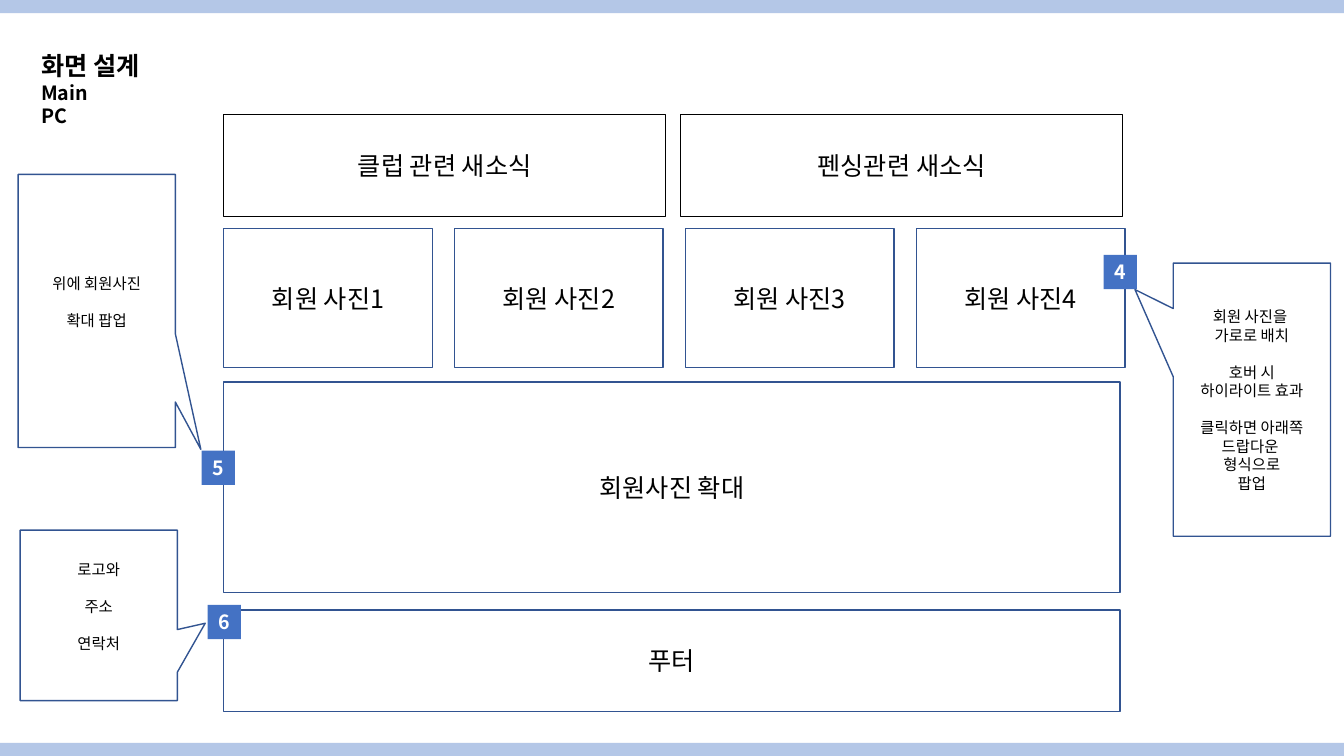
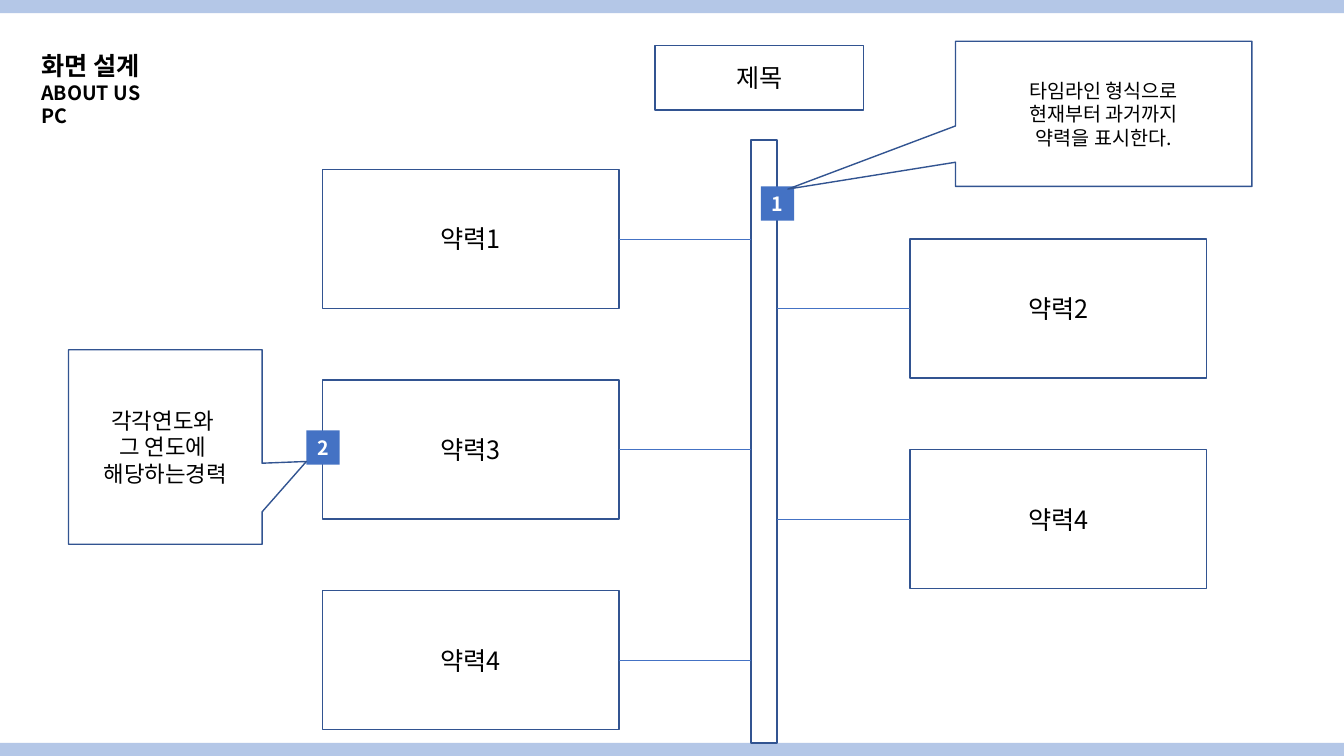
from dataclasses import dataclass

import lxml.etree
import pptx
import pptx.dml.color
import pptx.enum.shapes
import pptx.enum.text
import pptx.oxml.ns
import pptx.presentation
import pptx.shapes.autoshape
import pptx.slide
import pptx.text.text
import pptx.util

SLIDE_WIDTH = pptx.util.Inches(40 / 3)
SLIDE_HEIGHT = pptx.util.Inches(7.5)
COLUMNS, ROWS = 80, 45

FONT = "Noto Sans CJK KR"
BLACK = "000000"
WHITE = "FFFFFF"
BAND = "B4C7E7"
OUTLINE = "325491"
ACCENT = "4472C4"

BAND_ROWS = 0.78
LINE_HEIGHT = 1.2
RECTANGLE = pptx.enum.shapes.MSO_SHAPE.RECTANGLE
CALLOUT = pptx.enum.shapes.MSO_SHAPE.RECTANGULAR_CALLOUT
CENTER = pptx.enum.text.PP_ALIGN.CENTER
LEFT_SIDE, RIGHT_SIDE = 1, 3


@dataclass(frozen=True)
class Area:
    column: float
    row: float
    columns: float
    rows: float

    @property
    def middle_row(self) -> float:
        return self.row + self.rows / 2


@dataclass(frozen=True)
class Box:
    area: Area
    text: str = ""
    line_color: str = OUTLINE
    line_width: float = 1


@dataclass(frozen=True)
class Badge:
    number: str
    column: float
    row: float


@dataclass(frozen=True)
class Callout:
    area: Area
    tip_column: float
    tip_row: float
    groups: tuple[tuple[str, ...], ...]
    size: float
    lines_below: int = 0


def across(columns: float) -> int:
    return round(SLIDE_WIDTH * columns / COLUMNS)


def down(rows: float) -> int:
    return round(SLIDE_HEIGHT * rows / ROWS)


def color(value: str) -> pptx.dml.color.RGBColor:
    return pptx.dml.color.RGBColor.from_string(value)


def place(area: Area) -> tuple[int, int, int, int]:
    return across(area.column), down(area.row), across(area.columns), down(area.rows)


def add_run(paragraph: pptx.text.text._Paragraph, text: str, size: float,
            text_color: str = BLACK, bold: bool = False) -> None:
    run = paragraph.add_run()
    run.text = text
    run.font.size = pptx.util.Pt(size)
    run.font.bold = bold
    run.font.color.rgb = color(text_color)
    run.font.name = FONT
    east_asian = lxml.etree.SubElement(run.font._element, pptx.oxml.ns.qn("a:ea"))
    east_asian.set("typeface", FONT)


def next_paragraph(frame: pptx.text.text.TextFrame, index: int) -> pptx.text.text._Paragraph:
    return frame.add_paragraph() if index else frame.paragraphs[0]


def add_filled(slide: pptx.slide.Slide, area: Area, fill: str, line_color: str = "",
               line_width: float = 1, kind=RECTANGLE) -> pptx.shapes.autoshape.Shape:
    shape = slide.shapes.add_shape(kind, *place(area))
    shape.shadow.inherit = False
    shape.fill.solid()
    shape.fill.fore_color.rgb = color(fill)
    if line_color:
        shape.line.color.rgb = color(line_color)
        shape.line.width = pptx.util.Pt(line_width)
    else:
        shape.line.fill.background()
    frame = shape.text_frame
    frame.word_wrap = True
    frame.vertical_anchor = pptx.enum.text.MSO_ANCHOR.MIDDLE
    return shape


def add_box(slide: pptx.slide.Slide, box: Box) -> pptx.shapes.autoshape.Shape:
    shape = add_filled(slide, box.area, WHITE, box.line_color, box.line_width)
    if box.text:
        paragraph = shape.text_frame.paragraphs[0]
        paragraph.alignment = CENTER
        add_run(paragraph, box.text, 18)
    return shape


def add_badge(slide: pptx.slide.Slide, badge: Badge) -> None:
    shape = add_filled(slide, Area(badge.column, badge.row, 1.98, 2.04), ACCENT)
    frame = shape.text_frame
    frame.margin_left = frame.margin_right = 0
    frame.margin_top = frame.margin_bottom = 0
    paragraph = frame.paragraphs[0]
    paragraph.alignment = CENTER
    add_run(paragraph, badge.number, 14, WHITE, True)


def add_callout(slide: pptx.slide.Slide, callout: Callout) -> None:
    area = callout.area
    shape = add_filled(slide, area, WHITE, OUTLINE, kind=CALLOUT)
    shape.adjustments[0] = (callout.tip_column - area.column) / area.columns - 0.5
    shape.adjustments[1] = (callout.tip_row - area.row) / area.rows - 0.5
    line = pptx.util.Pt(callout.size * LINE_HEIGHT)
    frame = shape.text_frame
    frame.margin_bottom = frame.margin_bottom + line * callout.lines_below
    index = 0
    for group in callout.groups:
        for position, text in enumerate(group):
            paragraph = next_paragraph(frame, index)
            paragraph.alignment = CENTER
            if index and position == 0:
                paragraph.space_before = line
            add_run(paragraph, text, callout.size)
            index += 1


def add_branch(slide: pptx.slide.Slide, shape: pptx.shapes.autoshape.Shape, side: int,
               start_column: float, end_column: float, row: float) -> None:
    connector = slide.shapes.add_connector(
        pptx.enum.shapes.MSO_CONNECTOR.STRAIGHT,
        across(start_column), down(row), across(end_column), down(row))
    connector.begin_connect(shape, side)
    connector.end_y = connector.begin_y
    connector.line.color.rgb = color(ACCENT)
    connector.line.width = pptx.util.Pt(0.5)
    lxml.etree.SubElement(connector._element.spPr, pptx.oxml.ns.qn("a:effectLst"))


def add_page(presentation: pptx.presentation.Presentation, section: str) -> pptx.slide.Slide:
    slide = presentation.slides.add_slide(presentation.slide_layouts[6])
    for row in (0, ROWS - BAND_ROWS):
        add_filled(slide, Area(0, row, COLUMNS, BAND_ROWS), BAND)
    title = slide.shapes.add_textbox(*place(Area(1.86, 2.7, 9.36, 5.28)))
    frame = title.text_frame
    frame.word_wrap = True
    for index, (text, size) in enumerate((("화면 설계", 18), (section, 14), ("PC", 14))):
        add_run(next_paragraph(frame, index), text, size, bold=True)
    return slide


def add_notes(slide: pptx.slide.Slide, badges: list[Badge], callouts: list[Callout]) -> None:
    for badge in badges:
        add_badge(slide, badge)
    for callout in callouts:
        add_callout(slide, callout)


def build_main(presentation: pptx.presentation.Presentation) -> None:
    slide = add_page(presentation, "Main")
    left, width = 13.32, 53.34
    news = [
        Box(Area(left + index * 27.2, 6.84, 26.3, 6.06), text, BLACK, 0.75)
        for index, text in enumerate(("클럽 관련 새소식", "펜싱관련 새소식"))
    ]
    photos = [
        Box(Area(left + index * 13.74, 13.6, 12.42, 8.28), f"회원 사진{index + 1}")
        for index in range(4)
    ]
    wide = [
        Box(Area(left, 22.74, width, 12.54), "회원사진 확대"),
        Box(Area(left, 36.3, width, 6.06), "푸터"),
    ]
    for box in news + photos + wide:
        add_box(slide, box)
    add_notes(
        slide,
        [Badge("4", 65.7, 15.18), Badge("5", 12, 26.82), Badge("6", 12.36, 36)],
        [
            Callout(Area(69.84, 15.66, 9.36, 16.26), 67.56, 17.24, (
                ("회원 사진을 ", "가로로 배치"),
                ("호버 시", "하이라이트 효과"),
                ("클릭하면 아래쪽", "드랍다운 ", "형식으로", "팝업"),
            ), 11),
            Callout(Area(1.08, 10.38, 9.36, 16.26), 11.96, 26.75,
                    (("위에 회원사진",), ("확대 팝업",)), 11, 1),
            Callout(Area(1.2, 31.56, 9.36, 10.14), 12.22, 37.1,
                    (("로고와",), ("주소",), ("연락처",)), 11, 1),
        ],
    )


def build_about(presentation: pptx.presentation.Presentation) -> None:
    slide = add_page(presentation, "ABOUT US")
    timeline = Area(44.7, 8.34, 1.56, 35.88)
    add_box(slide, Box(Area(39, 2.7, 12.42, 3.84), "제목"))
    add_box(slide, Box(timeline))
    step, width = 12.54, 17.64
    sides = (
        (19.2, 10.08, ("약력1", "약력3", "약력4"), RIGHT_SIDE, width, timeline.column),
        (54.18, 14.22, ("약력2", "약력4"), LEFT_SIDE, 0, timeline.column + timeline.columns),
    )
    for column, top, texts, side, offset, end_column in sides:
        for index, text in enumerate(texts):
            area = Area(column, top + index * step, width, 8.28)
            shape = add_box(slide, Box(area, text))
            add_branch(slide, shape, side, column + offset, end_column, area.middle_row)
    add_notes(
        slide,
        [Badge("1", 45.3, 11.1), Badge("2", 18.24, 25.62)],
        [
            Callout(Area(56.88, 2.46, 17.64, 8.64), 46.9, 11.26,
                    (("타임라인 형식으로", "현재부터 과거까지", "약력을 표시한다."),), 14),
            Callout(Area(4.08, 20.82, 11.52, 11.58), 18.24, 27.47,
                    (("각각연도와 ", "그 연도에 ", "해당하는경력"),), 16),
        ],
    )


def main() -> None:
    presentation = pptx.Presentation()
    presentation.slide_width = SLIDE_WIDTH
    presentation.slide_height = SLIDE_HEIGHT
    build_main(presentation)
    build_about(presentation)
    presentation.save("out.pptx")


if __name__ == "__main__":
    main()
